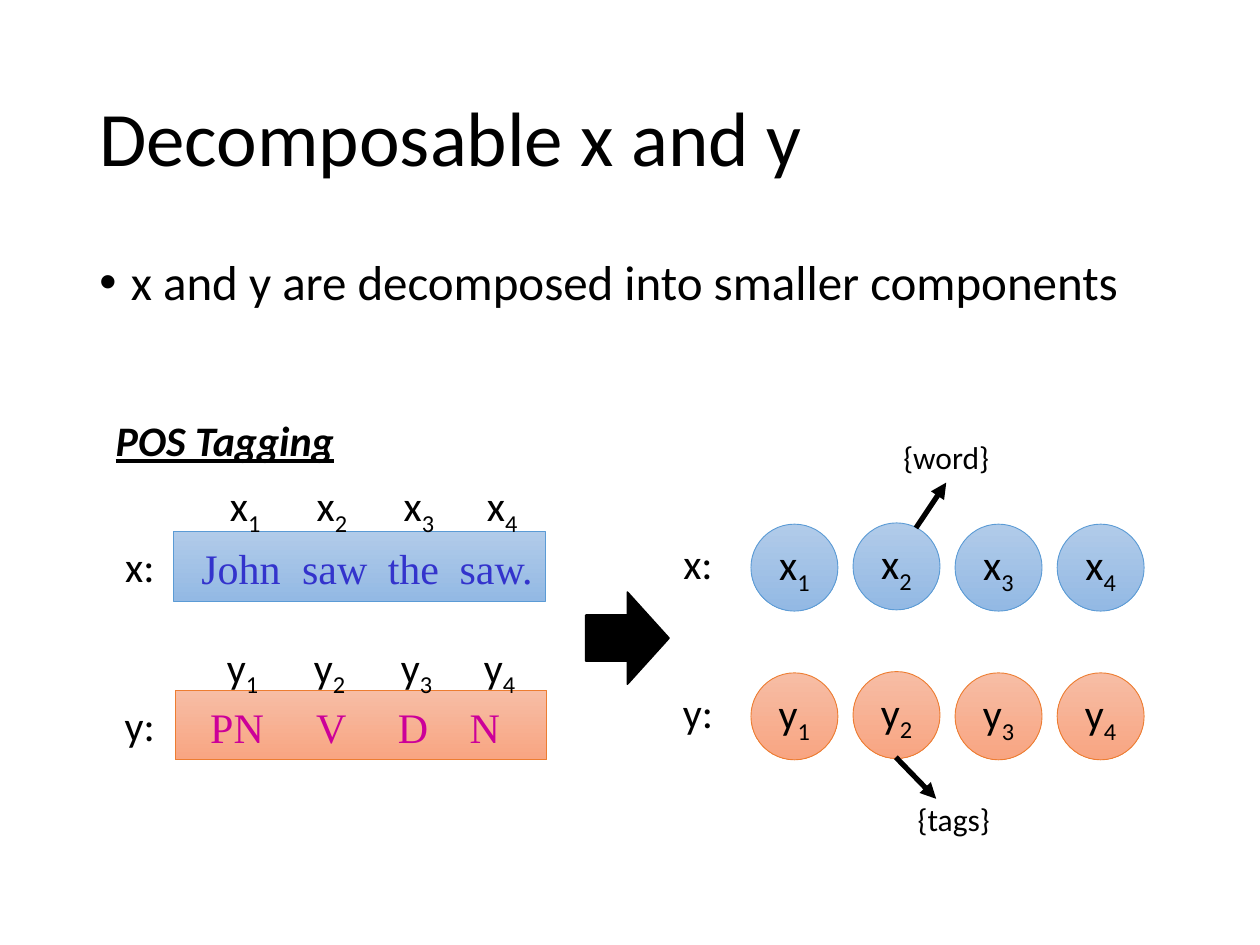
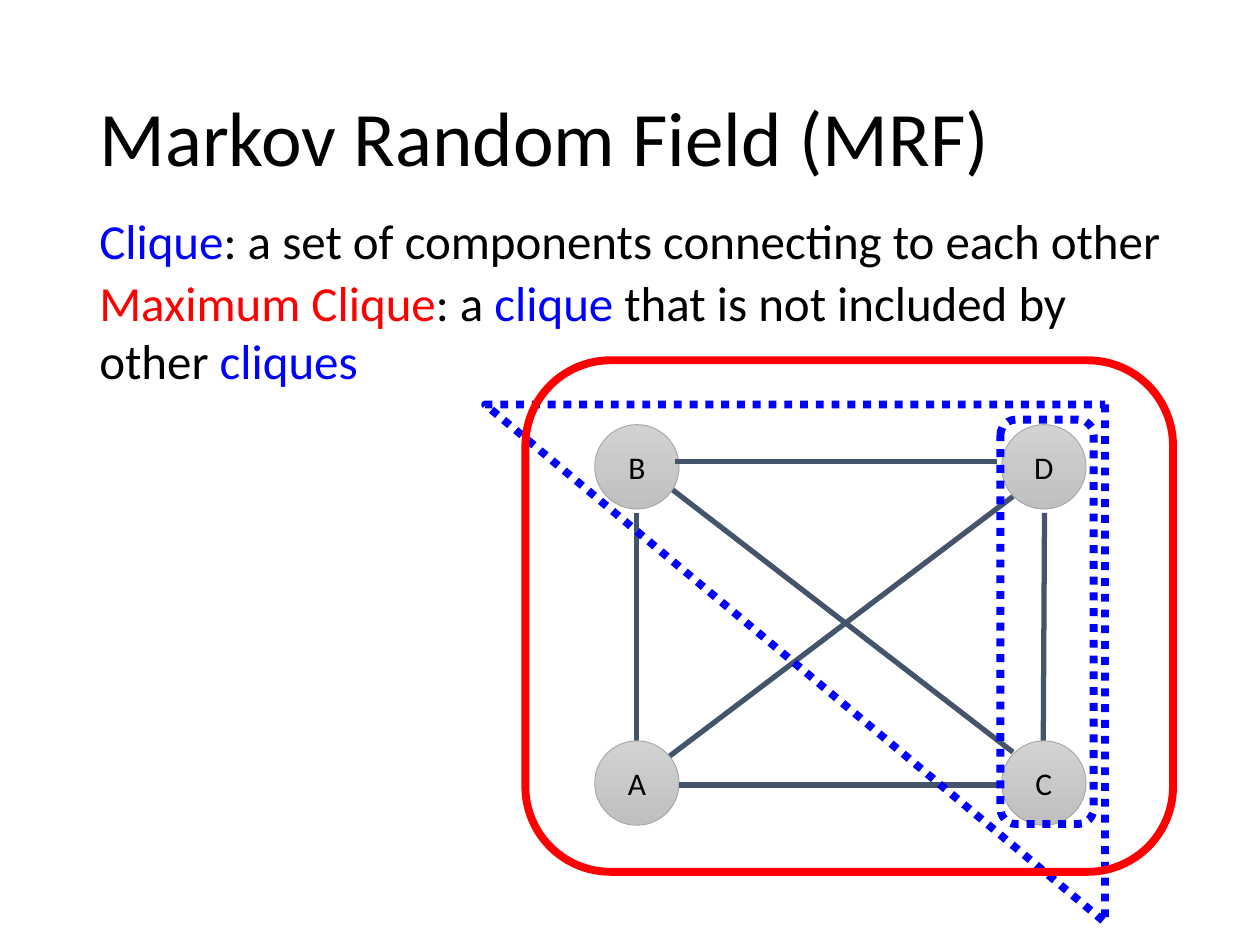
from pptx import Presentation
from pptx.dml.color import RGBColor
from pptx.enum.dml import MSO_LINE
from pptx.enum.shapes import MSO_CONNECTOR, MSO_SHAPE
from pptx.enum.text import MSO_ANCHOR, PP_ALIGN
from pptx.oxml.ns import qn
from pptx.util import Inches, Pt
from lxml.etree import SubElement

BLACK, BLUE, RED, SLATE = "000000", "0000FF", "FF0000", "44546A"
SKY = {"stops": ("B1CBE9", "93B9E4"), "line": "5B9BD5"}
PEACH = {"stops": ("F7BDA5", "F8A582"), "line": "ED7D31"}
GRAY = {"stops": ("D2D2D2", "C0C0C0"), "line": "A5A5A5"}
BODY = {"name": "Calibri", "size": Pt(24), "color": BLACK}
TITLE = {**BODY, "size": Pt(44)}
LARGE = {**BODY, "size": Pt(28)}
SMALL = {**BODY, "size": Pt(18)}
HEADING = {**BODY, "bold": True, "italic": True, "underline": True}
EXAMPLE = {**BODY, "name": "Times New Roman"}


def rgb(value):
    return RGBColor.from_string(value)


def format_font(font, values):
    for key, value in values.items():
        if key == "color":
            font.color.rgb = rgb(value)
        else:
            setattr(font, key, value)


def write(shape, spans, values, align=PP_ALIGN.LEFT, anchor=MSO_ANCHOR.TOP):
    frame = shape.text_frame
    frame.word_wrap = True
    frame.vertical_anchor = anchor
    para = frame.paragraphs[0]
    para.alignment = align
    for text, changes in spans:
        span = para.add_run()
        span.text = text
        format_font(span.font, {**values, **changes})
    return para


def add_text(page, box, spans, values=BODY, **layout):
    shape = page.shapes.add_textbox(*map(Inches, box))
    if isinstance(spans, str):
        spans = [(spans, {})]
    return write(shape, spans, values, **layout)


def add_shape(page, kind, box, line, width):
    shape = page.shapes.add_shape(kind, *map(Inches, box))
    shape.shadow.inherit = False
    shape.line.color.rgb = rgb(line)
    shape.line.width = Pt(width)
    return shape


def add_shaded(page, kind, box, palette):
    shape = add_shape(page, kind, box, palette["line"], 0.5)
    shape.fill.gradient()
    shape.fill.gradient_angle = 270
    for stop, color in zip(shape.fill.gradient_stops, palette["stops"]):
        stop.color.rgb = rgb(color)
    return shape


def add_outline(page, kind, box, color, dash=None):
    shape = add_shape(page, kind, box, color, 4.5)
    shape.fill.background()
    shape.line.dash_style = dash
    return shape


def add_line(page, start, end, color, arrow=False):
    line = page.shapes.add_connector(MSO_CONNECTOR.STRAIGHT, *map(Inches, start + end))
    line.line.color.rgb = rgb(color)
    line.line.width = Pt(3)
    properties = line._element.spPr
    if arrow:
        SubElement(properties.find(qn("a:ln")), qn("a:tailEnd"), type="triangle")
    SubElement(properties, qn("a:effectLst"))


def add_circle(page, box, palette, spans, values):
    circle = add_shaded(page, MSO_SHAPE.OVAL, box, palette)
    frame = circle.text_frame
    for side in ("left", "top", "right", "bottom"):
        setattr(frame, f"margin_{side}", 0)
    return write(circle, spans, values, PP_ALIGN.CENTER, MSO_ANCHOR.MIDDLE)


def lower_index(para):
    para.runs[1]._r.get_or_add_rPr().set("baseline", "-25000")


def indexed(letter, index):
    return [(letter, {}), (str(index), {})]


def add_title(page, text):
    para = add_text(page, (0.69, 0.4, 8.62, 1.45), text, TITLE, anchor=MSO_ANCHOR.MIDDLE)
    para.line_spacing = 0.9


def add_bullet(page, box, text):
    para = add_text(page, box, text, LARGE)
    para.line_spacing = 0.9
    properties = para._p.get_or_add_pPr()
    properties.set("marL", str(Inches(0.25)))
    properties.set("indent", str(Inches(-0.25)))
    SubElement(properties, qn("a:buFont"), typeface="Arial")
    SubElement(properties, qn("a:buChar"), char="•")


def add_sequence(page, left, top, letter, words, color, palette, text_left, tabs):
    add_shaded(page, MSO_SHAPE.RECTANGLE, (left, top, 2.95, 0.55), palette)
    para = add_text(page, (text_left, top + 0.04, 3, 0.51), "\t".join(words),
                    {**EXAMPLE, "color": color})
    stops = SubElement(para._p.get_or_add_pPr(), qn("a:tabLst"))
    for tab in tabs:
        SubElement(stops, qn("a:tab"), pos=str(Inches(tab)), algn="l")
    add_text(page, (0.69, top + 0.02, 0.84, 0.5), f"{letter}:", align=PP_ALIGN.CENTER)


def add_indexes(page, left, top, letter):
    for index, offset in enumerate((0, 0.69, 1.38, 2.04), 1):
        lower_index(add_text(page, (left + offset, top, 0.55, 0.5),
                             indexed(letter, index), align=PP_ALIGN.CENTER))


def add_components(page, left, top, letter, palette):
    add_text(page, (left, top + 0.06, 0.84, 0.5), f"{letter}:", align=PP_ALIGN.CENTER)
    for index in range(1, 5):
        lift = 0.01 if index == 2 else 0
        box = (left + 0.84 + 0.81 * (index - 1), top - lift, 0.69, 0.69)
        lower_index(add_circle(page, box, palette, indexed(letter, index), BODY))


def build_decomposition(page):
    add_title(page, "Decomposable x and y")
    add_bullet(page, (0.69, 2, 8.62, 0.6), "x and y are decomposed into smaller components")
    add_text(page, (0.82, 3.24, 2.01, 0.5), "POS Tagging", HEADING)
    add_sequence(page, 1.38, 4.22, "x", ("John", "saw", "the", "saw."), "3333CC", SKY,
                 1.5, (0.8, 1.48, 2.05))
    add_sequence(page, 1.39, 5.48, "y", ("PN", "V", "D", "N"), "CC0099", PEACH,
                 1.57, (0.84, 1.49, 2.06))
    add_indexes(page, 1.67, 3.76, "x")
    add_indexes(page, 1.65, 5.04, "y")
    arrow = add_shape(page, MSO_SHAPE.RIGHT_ARROW, (4.65, 4.7, 0.66, 0.73), BLACK, 1)
    arrow.fill.solid()
    arrow.fill.fore_color.rgb = rgb(BLACK)
    add_components(page, 5.12, 4.16, "x", SKY)
    add_components(page, 5.12, 5.34, "y", PEACH)
    add_text(page, (6.46, 3.43, 2.1, 0.4), "{word}", SMALL, align=PP_ALIGN.CENTER)
    add_line(page, (7.27, 4.19), (7.51, 3.83), BLACK, arrow=True)
    add_text(page, (7.09, 6.3, 0.96, 0.4), "{tags}", SMALL, align=PP_ALIGN.CENTER)
    add_line(page, (7.11, 6.01), (7.43, 6.34), BLACK, arrow=True)


def add_graph(page, left, top):
    edges = [
        ((3.32, 2.6), (0.57, 0.48)), ((0.49, 2.71), (3.32, 0.57)),
        ((0.33, 2.51), (0.33, 0.7)), ((3.56, 2.51), (3.57, 0.7)),
        ((3.22, 2.86), (0.67, 2.86)), ((3.19, 0.29), (0.64, 0.29)),
    ]
    nodes = {"A": (0, 2.51), "B": (0, 0), "C": (3.23, 2.51), "D": (3.23, 0)}
    for edge in edges[:4]:
        add_line(page, *[(left + x, top + y) for x, y in edge], SLATE)
    for name, (x, y) in nodes.items():
        add_circle(page, (left + x, top + y, 0.67, 0.67), GRAY, [(name, {})], SMALL)
    for edge in edges[4:]:
        add_line(page, *[(left + x, top + y) for x, y in edge], SLATE)


def add_cliques(page, left, top):
    dots = MSO_LINE.ROUND_DOT
    add_outline(page, MSO_SHAPE.ROUNDED_RECTANGLE,
                (left + 3.77, top + 0.47, 0.74, 3.21), BLUE, dots)
    triangle = add_outline(page, MSO_SHAPE.RIGHT_TRIANGLE,
                           (left - 0.32, top + 0.35, 4.92, 4.11), BLUE, dots)
    triangle.rotation = 180
    add_outline(page, MSO_SHAPE.ROUNDED_RECTANGLE, (left, top, 5.14, 4.06), RED)


def build_random_field(page):
    blue, red = {"color": BLUE}, {"color": RED}
    add_title(page, "Markov Random Field (MRF)")
    add_graph(page, 4.72, 3.37)
    add_text(page, (0.69, 1.62, 8.66, 0.57),
             [("Clique", blue), (": a set of components connecting to each other", {})], LARGE)
    add_text(page, (0.69, 2.11, 8.66, 1.04),
             [("Maximum Clique", red), (": a ", {}), ("clique", blue),
              (" that is not included by other ", {}), ("cliques", blue)], LARGE)
    add_cliques(page, 4.17, 2.86)


def main():
    deck = Presentation()
    deck.slide_width, deck.slide_height = Inches(10), Inches(7.5)
    for build in (build_decomposition, build_random_field):
        build(deck.slides.add_slide(deck.slide_layouts[6]))
    deck.save("out.pptx")


if __name__ == "__main__":
    main()
